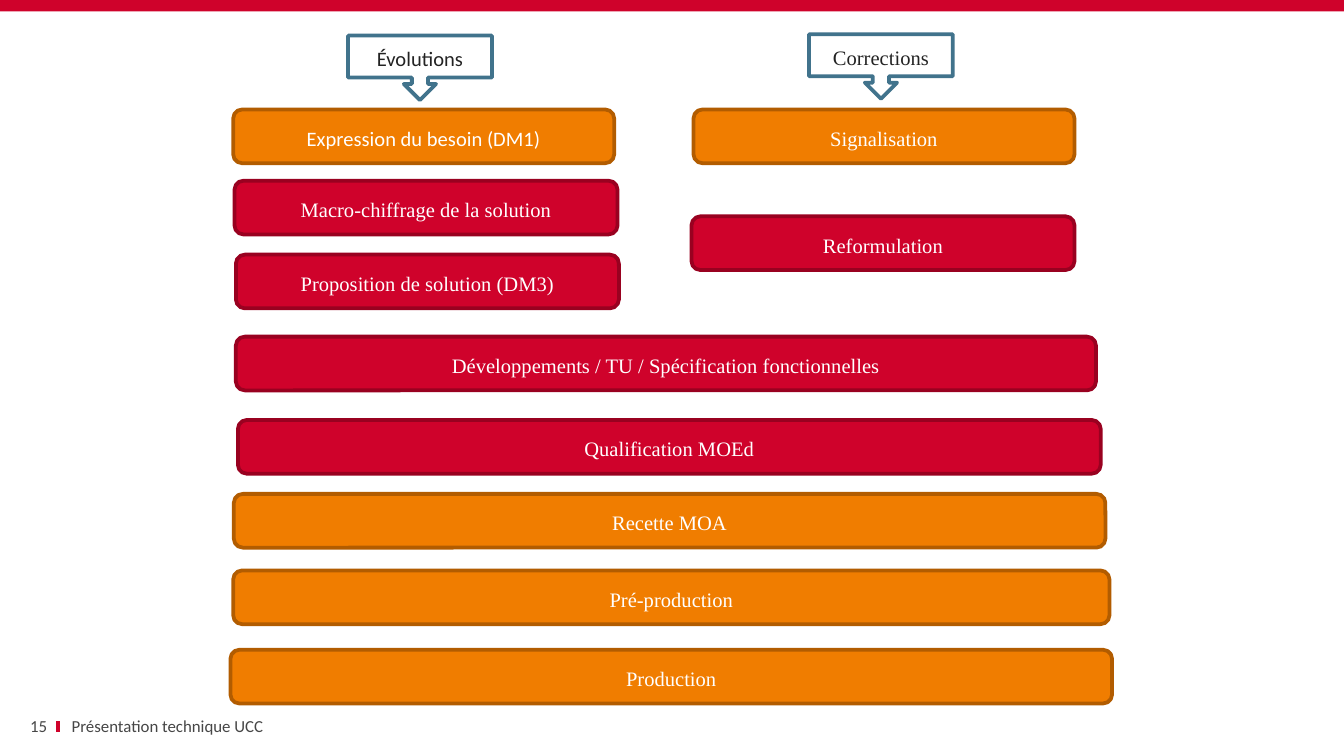
import pptx
import pptx.dml.color
import pptx.enum.shapes
import pptx.enum.text
import pptx.oxml
import pptx.util

PX = 4572  # EMU in one px, at 200 px to the inch
SLIDE_SIZE = (2000, 1125)
SANS, SERIF = "Calibri", "Times New Roman"
RED, WHITE, DARK, GREY = "CF022B", "FFFFFF", "232323", "464646"
ROUNDED = pptx.enum.shapes.MSO_SHAPE.ROUNDED_RECTANGLE
CALLOUT = pptx.enum.shapes.MSO_SHAPE.DOWN_ARROW_CALLOUT
ALIGN = pptx.enum.text.PP_ALIGN

# kind: preset shape, height, fill, line, text colour
KINDS = {
    "entry": (CALLOUT, 96, WHITE, "41738C", DARK),
    "client": (ROUNDED, 80, "F07D00", "B25C00", WHITE),
    "supplier": (ROUNDED, 80, RED, "990120", WHITE),
}
# text, kind, left, top, width, font
STEPS = [
    ("Expression du besoin (DM1)", "client", 347, 163, 567, SANS),
    ("Proposition de solution (DM3)", "supplier", 351, 379, 570, SERIF),
    ("Macro-chiffrage de la solution", "supplier", 349, 269, 570, SERIF),
    ("Développements / TU / Spécification fonctionnelles", "supplier", 351, 501, 1280, SERIF),
    ("Qualification MOEd", "supplier", 354, 625, 1284, SERIF),
    ("Recette MOA", "client", 348, 735, 1297, SERIF),
    ("Pré-production", "client", 347, 849, 1304, SERIF),
    ("Production", "client", 343, 967, 1312, SERIF),
    ("Évolutions", "entry", 518, 53, 214, SANS),
    ("Signalisation", "client", 1032, 163, 567, SERIF),
    ("Corrections", "entry", 1204, 51, 214, SERIF),
    ("Reformulation", "supplier", 1029, 322, 570, SERIF),
]
# text, left, width, side inset, alignment
FOOTER = [
    ("Présentation technique UCC", 87, 994, 20, ALIGN.LEFT),
    ("15", 6, 64, 0, ALIGN.RIGHT),
]
FOOTER_TOP, FOOTER_HEIGHT = 1067, 26
SEPARATOR = (86, 1073, 86, 1089)


def emu(*lengths):
    return [length * PX for length in lengths]


def color(value):
    return pptx.dml.color.RGBColor.from_string(value)


def write(shape, text, size, font, text_color, align, inset=20, line_spacing=None, space_after=0):
    frame = shape.text_frame
    frame.word_wrap = True
    frame.vertical_anchor = pptx.enum.text.MSO_ANCHOR.MIDDLE
    frame.margin_left = frame.margin_right = inset * PX
    frame.margin_top = frame.margin_bottom = 10 * PX
    paragraph = frame.paragraphs[0]
    paragraph.alignment = align
    paragraph.line_spacing = line_spacing
    paragraph.space_after = pptx.util.Pt(space_after)
    run = paragraph.add_run()
    run.text = text
    run.font.size = pptx.util.Pt(size)
    run.font.name = font
    run.font.color.rgb = color(text_color)


def add_box(slide, preset, bounds, fill, line=None):
    shape = slide.shapes.add_shape(preset, *emu(*bounds))
    shape.shadow.inherit = False
    shape.fill.solid()
    shape.fill.fore_color.rgb = color(fill)
    if line:
        shape.line.color.rgb = color(line)
        shape.line.width = pptx.util.Pt(2)
    else:
        shape.line.fill.background()
    return shape


def add_frame(slide):
    """Draw the top band and the footer with its separator."""
    add_box(slide, pptx.enum.shapes.MSO_SHAPE.RECTANGLE, (0, 0, SLIDE_SIZE[0], 17), RED)
    separator = slide.shapes.add_connector(
        pptx.enum.shapes.MSO_CONNECTOR.STRAIGHT, *emu(*SEPARATOR))
    separator.line.color.rgb = color(RED)
    separator.line.width = pptx.util.Pt(2.25)
    separator._element.spPr.append(pptx.oxml.parse_xml(
        '<a:effectLst xmlns:a="http://schemas.openxmlformats.org/drawingml/2006/main"/>'))
    for text, left, width, inset, align in FOOTER:
        box = slide.shapes.add_textbox(*emu(left, FOOTER_TOP, width, FOOTER_HEIGHT))
        write(box, text, size=9, font=SANS, text_color=GREY, align=align, inset=inset)


def add_steps(slide):
    for text, kind, left, top, width, font in STEPS:
        preset, height, fill, line, text_color = KINDS[kind]
        shape = add_box(slide, preset, (left, top, width, height), fill, line)
        write(shape, text, size=11, font=font, text_color=text_color,
              align=ALIGN.CENTER, line_spacing=1.15, space_after=10)


def main():
    presentation = pptx.Presentation()
    presentation.slide_width, presentation.slide_height = emu(*SLIDE_SIZE)
    slide = presentation.slides.add_slide(presentation.slide_layouts[6])
    add_frame(slide)
    add_steps(slide)
    presentation.save("out.pptx")


if __name__ == "__main__":
    main()
